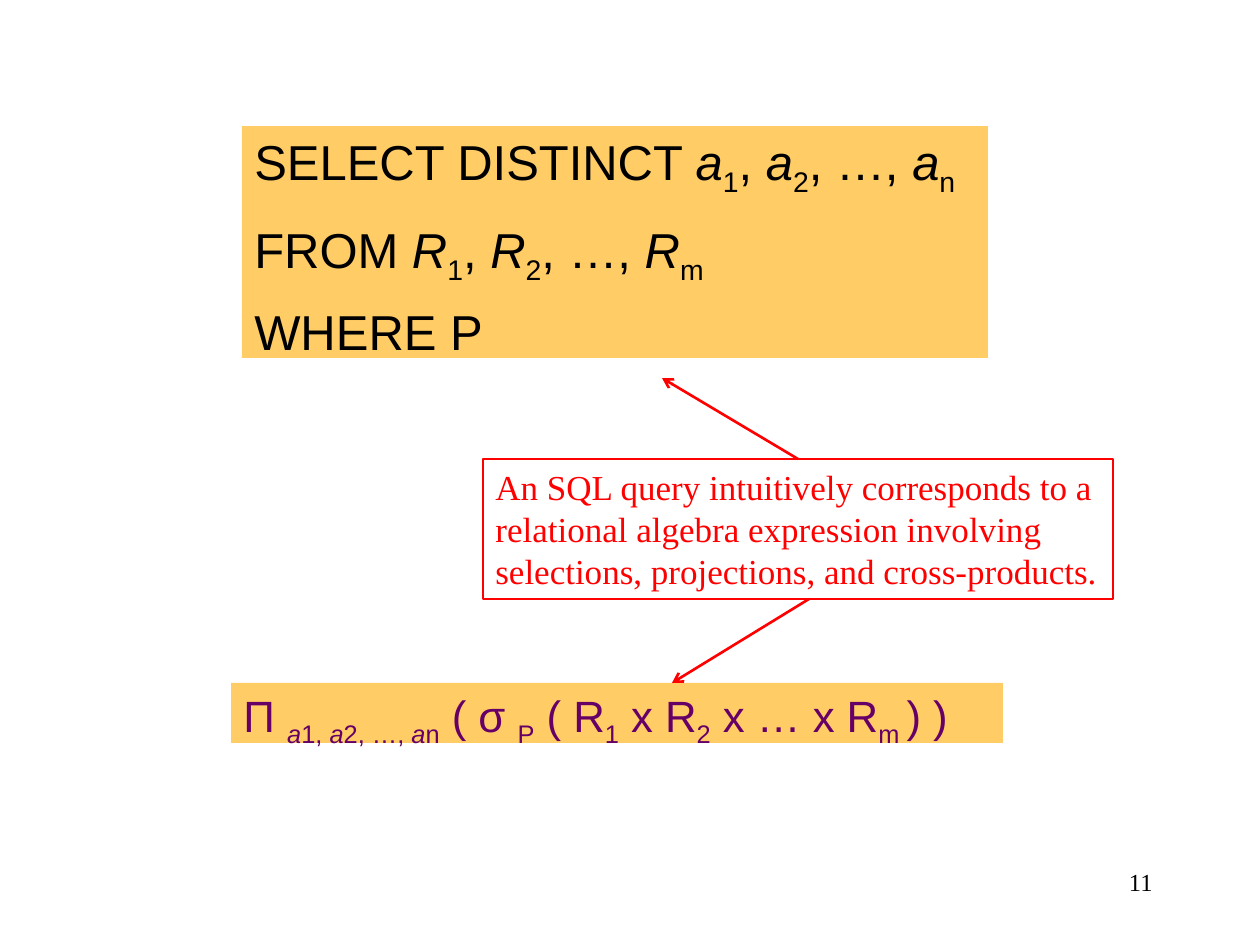
import pptx
import pptx.util
import pptx.dml.color
import pptx.enum.shapes
import pptx.enum.text
import pptx.oxml
import pptx.oxml.ns

RGB = pptx.dml.color.RGBColor
GOLD = RGB(0xFF, 0xCC, 0x66)
BLACK = RGB(0, 0, 0)
PLUM = RGB(0x66, 0x00, 0x66)
RED = RGB(0xFF, 0, 0)
SANS, SERIF = "Arial", "Times New Roman"
ALIGN = pptx.enum.text.PP_ALIGN
Pt = pptx.util.Pt

# Each run is (text, style): "i" is italic, "_" is subscript
QUERY = [
    [("SELECT DISTINCT ", ""), ("a", "i"), ("1", "_"), (", ", ""), ("a", "i"),
     ("2", "_"), (", …, ", ""), ("a", "i"), ("n", "_")],
    [("FROM ", ""), ("R", "i"), ("1", "_"), (", ", ""), ("R", "i"),
     ("2", "_"), (", …, ", ""), ("R", "i"), ("m", "_")],
    [("WHERE P", "")],
]
ALGEBRA = [
    [("Π ", ""), ("a", "i_"), ("1, ", "_"), ("a", "i_"), ("2, …, ", "_"),
     ("a", "i_"), ("n", "_"), (" ( σ ", ""), ("P", "_"), (" ( R", ""),
     ("1", "_"), (" x R", ""), ("2", "_"), (" x … x R", ""), ("m ", "_"),
     (") )", "")],
]
NOTE = [[("An SQL query intuitively corresponds to a relational algebra "
          "expression involving selections, projections, and "
          "cross-products.", "")]]


def px(n):
    """Turn px, 126 to the inch, into EMU."""
    return pptx.util.Emu(round(n * 914400 / 126))


def write(shape, lines, font, size, color, gap=None, align=ALIGN.LEFT,
          wrap=True):
    """Fill a shape with lines of styled runs."""
    frame = shape.text_frame
    frame.word_wrap = wrap
    frame.vertical_anchor = pptx.enum.text.MSO_ANCHOR.TOP
    for k, line in enumerate(lines):
        para = frame.add_paragraph() if k else frame.paragraphs[0]
        para.alignment = align
        if gap is not None:
            para.line_spacing = 0.9
            para.space_before = Pt(gap)
        for text, style in line:
            run = para.add_run()
            run.text = text
            run.font.name = font
            run.font.size = Pt(size)
            run.font.color.rgb = color
            run.font.italic = "i" in style
            if "_" in style:
                run.font._element.set("baseline", "-25000")


def panel(slide, box, fill=None, edge=None):
    """Add a plain rectangle."""
    shape = slide.shapes.add_shape(
        pptx.enum.shapes.MSO_SHAPE.RECTANGLE, *map(px, box))
    shape.shadow.inherit = False
    if fill is None:
        shape.fill.background()
    else:
        shape.fill.solid()
        shape.fill.fore_color.rgb = fill
    if edge is None:
        shape.line.fill.background()
    else:
        shape.line.color.rgb = edge
        shape.line.width = Pt(0.75)
    return shape


def arrow(slide, start, end):
    """Add a red line with an open head at its end."""
    line = slide.shapes.add_connector(
        pptx.enum.shapes.MSO_CONNECTOR.STRAIGHT, *map(px, start + end))
    line.line.color.rgb = RED
    line.line.width = Pt(1.5)
    make = pptx.oxml.ns.qn
    head = line.line._get_or_add_ln().makeelement(
        make("a:tailEnd"), {"type": "arrow"})
    line.line._get_or_add_ln().append(head)
    props = line._element.spPr
    props.append(props.makeelement(make("a:effectLst"), {}))
    return line


def query(slide, box):
    write(panel(slide, box, fill=GOLD), QUERY, SANS, 28, BLACK, gap=16)


def algebra(slide, box):
    write(panel(slide, box, fill=GOLD), ALGEBRA, SANS, 25, PLUM, gap=5,
          wrap=False)


def note(slide, box):
    """Add the framed remark and its arrows to both panels."""
    x, y, w, h = box
    frame = panel(slide, box, edge=RED)
    write(frame, NOTE, SERIF, 20, RED)
    up = arrow(slide, (x + w // 2, y), (x + 179, y - 81))
    up.begin_connect(frame, 0)
    arrow(slide, (x + 326, y + h), (x + 189, y + h + 84))


def number(slide, box):
    text = slide.shapes.add_textbox(*map(px, box))
    write(text, [[("11", "")]], SERIF, 14, BLACK, align=ALIGN.RIGHT)


def main():
    deck = pptx.Presentation()
    deck.slide_width, deck.slide_height = px(1260), px(945)
    slide = deck.slides.add_slide(deck.slide_layouts[6])
    number(slide, (903, 861, 262, 63))
    query(slide, (242, 126, 746, 232))
    algebra(slide, (231, 683, 772, 60))
    note(slide, (483, 459, 630, 140))
    deck.save("out.pptx")


if __name__ == "__main__":
    main()
